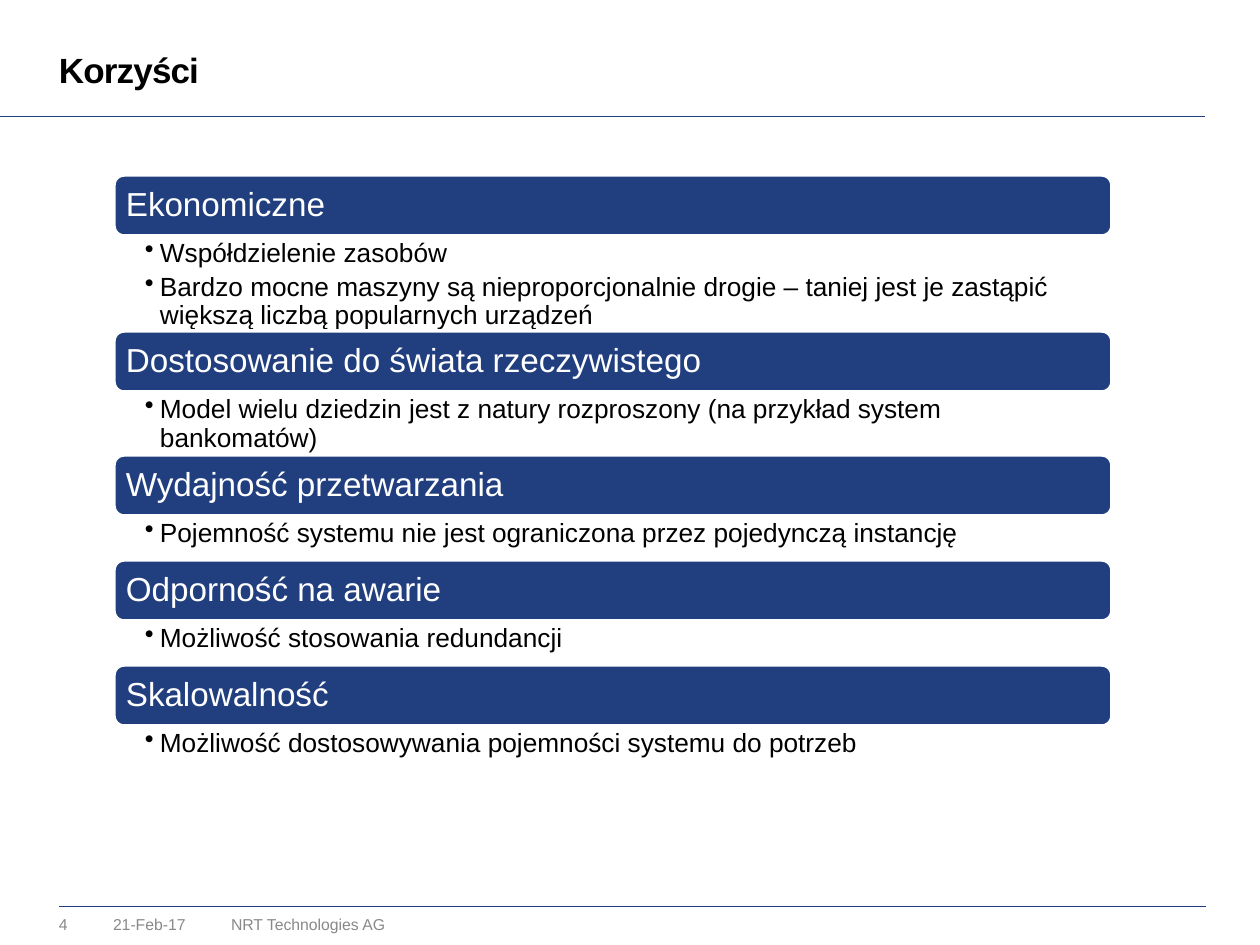
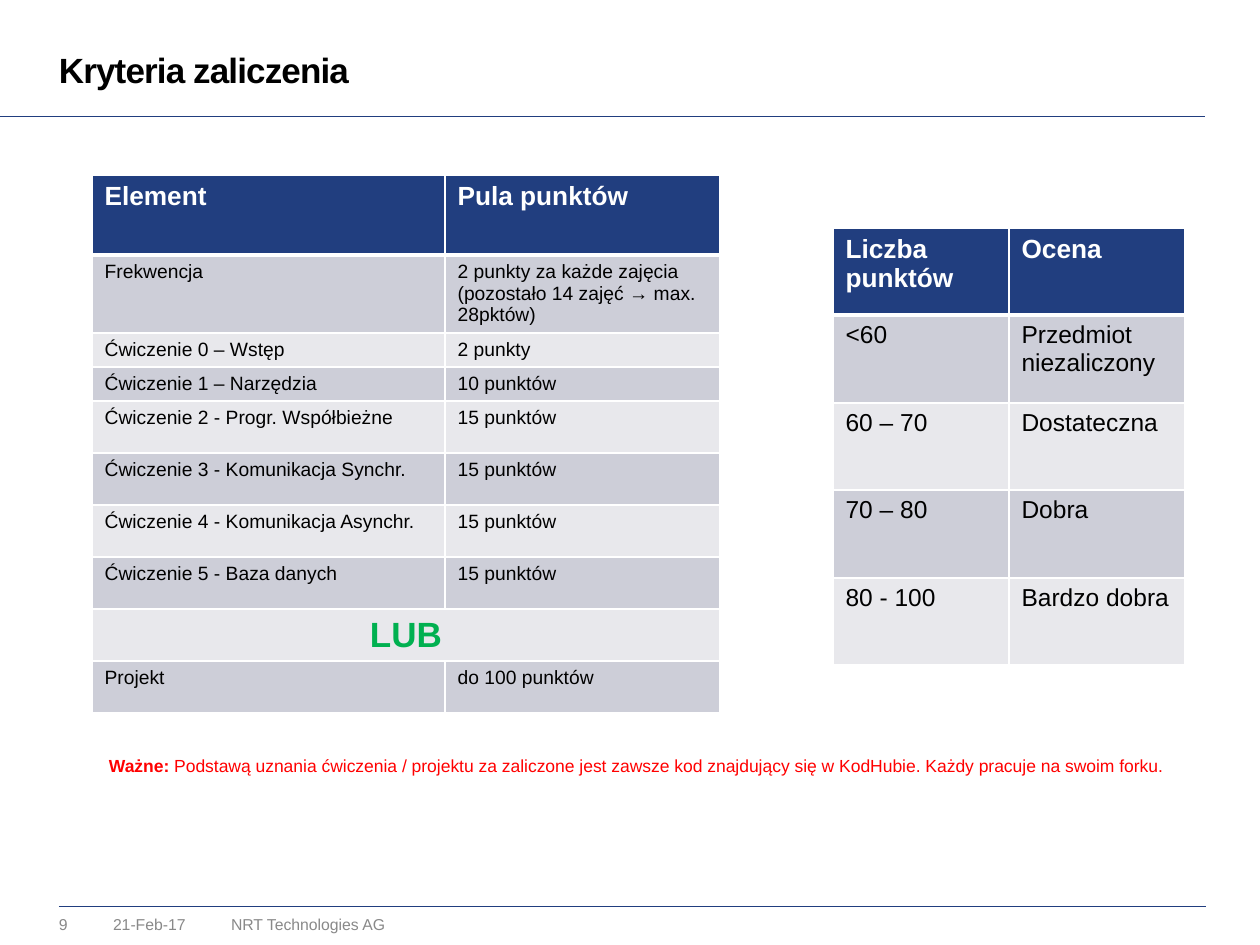
from lxml.etree import SubElement
from pptx import Presentation
from pptx.dml.color import RGBColor
from pptx.enum.shapes import MSO_CONNECTOR, MSO_SHAPE
from pptx.enum.text import MSO_ANCHOR, MSO_AUTO_SIZE, PP_ALIGN
from pptx.oxml.ns import qn
from pptx.util import Emu, Pt

STRAIGHT = MSO_CONNECTOR.STRAIGHT
ROUNDED = MSO_SHAPE.ROUNDED_RECTANGLE
TOP, MIDDLE = MSO_ANCHOR.TOP, MSO_ANCHOR.MIDDLE
LEFT, CENTER = PP_ALIGN.LEFT, PP_ALIGN.CENTER
NO_FIT = MSO_AUTO_SIZE.NONE

PX_PER_INCH = 126
FONT = "Arial"
COLORS = {
    "navy": "213E7F",
    "white": "FFFFFF",
    "black": "000000",
    "footer": "898989",
    "dark_band": "CDCED8",
    "light_band": "E8E8EC",
    "green": "00B050",
    "red": "FF0000",
}
DATE = "21-Feb-17"
COMPANY = "NRT Technologies AG"
TITLE_ONLY = 5

BENEFITS = [
    ("Ekonomiczne", 95, [
        "Współdzielenie zasobów",
        "Bardzo mocne maszyny są nieproporcjonalnie drogie – taniej jest je "
        "zastąpić większą liczbą popularnych urządzeń"]),
    ("Dostosowanie do świata rzeczywistego", 63, [
        "Model wielu dziedzin jest z natury rozproszony "
        "(na przykład system bankomatów)"]),
    ("Wydajność przetwarzania", 44, [
        "Pojemność systemu nie jest ograniczona przez pojedynczą instancję"]),
    ("Odporność na awarie", 44, ["Możliwość stosowania redundancji"]),
    ("Skalowalność", 44, [
        "Możliwość dostosowywania pojemności systemu do potrzeb"]),
]

POINTS = [
    ("Element", "Pula punktów"),
    ("Frekwencja",
     "2 punkty za każde zajęcia\n(pozostało 14 zajęć → max. 28pktów)"),
    ("Ćwiczenie 0 – Wstęp", "2 punkty"),
    ("Ćwiczenie 1 – Narzędzia", "10 punktów"),
    ("Ćwiczenie 2 - Progr. Współbieżne", "15 punktów"),
    ("Ćwiczenie 3 - Komunikacja Synchr.", "15 punktów"),
    ("Ćwiczenie 4 - Komunikacja Asynchr.", "15 punktów"),
    ("Ćwiczenie 5 - Baza danych", "15 punktów"),
    ("LUB",),
    ("Projekt", "do 100 punktów"),
]

GRADES = [
    ("Liczba punktów", "Ocena"),
    ("<60", "Przedmiot niezaliczony"),
    ("60 – 70", "Dostateczna"),
    ("70 – 80", "Dobra"),
    ("80 - 100", "Bardzo dobra"),
]


def px(length):
    return Emu(round(length * 914400 / PX_PER_INCH))


def color(name):
    return RGBColor.from_string(COLORS[name])


class Deck:
    def __init__(self):
        self.deck = Presentation()
        self.deck.slide_width = px(1260)
        self.deck.slide_height = px(945)
        self.page = None

    def new_page(self, title, number):
        layout = self.deck.slide_layouts[TITLE_ONLY]
        self.page = self.deck.slides.add_slide(layout)
        self.line(59, 1206, 906)
        self.line(-3, 1205, 116)
        self.title(title)
        for left, width, text in ((113, 108, DATE), (231, 601, COMPANY),
                                  (59, 49, str(number))):
            self.text(left, 915, width, 20, [(text, False)], 9, "footer")

    def span(self, para, text, size, shade, bold=False):
        span = para.add_run()
        span.text = text
        span.font.name = FONT
        span.font.size = Pt(size)
        span.font.bold = bold
        span.font.color.rgb = color(shade)
        return span

    def frame(self, box, insets=(0, 0, 0, 0), anchor=TOP):
        frame = box.text_frame
        frame.word_wrap = True
        frame.auto_size = NO_FIT
        frame.vertical_anchor = anchor
        (frame.margin_left, frame.margin_top,
         frame.margin_right, frame.margin_bottom) = map(px, insets)
        return frame

    def title(self, text):
        box = self.page.shapes.title
        box.left, box.top, box.width, box.height = map(px, (59, 55, 1155, 44))
        para = self.frame(box).paragraphs[0]
        para.alignment = LEFT
        para.line_spacing = Pt(20)
        span = self.span(para, text, 20, "black", True)
        span.font._element.set("spc", "-50")

    def line(self, start, end, y):
        line = self.page.shapes.add_connector(
            STRAIGHT, px(start), px(y), px(end), px(y))
        line.line.color.rgb = color("navy")
        line.line.width = Pt(0.25)
        SubElement(line._element.spPr, qn("a:effectLst"))

    def text(self, left, top, width, height, spans, size, shade):
        box = self.page.shapes.add_textbox(
            *map(px, (left, top, width, height)))
        para = self.frame(box).paragraphs[0]
        for text, bold in spans:
            self.span(para, text, size, shade, bold)

    def banner(self, left, top, width, height, text):
        box = self.page.shapes.add_shape(
            ROUNDED, *map(px, (left, top, width, height)))
        box.shadow.inherit = False
        box.fill.solid()
        box.fill.fore_color.rgb = color("navy")
        box.line.color.rgb = color("white")
        box.line.width = Pt(2)
        para = self.frame(box, (9, 9, 9, 9), MIDDLE).paragraphs[0]
        para.alignment = LEFT
        para.line_spacing = 0.9
        self.span(para, text, 19, "white")

    def bullets(self, left, top, width, height, items):
        box = self.page.shapes.add_textbox(
            *map(px, (left, top, width, height)))
        frame = self.frame(box, (31, 4, 19, 4))
        for index, item in enumerate(items):
            para = frame.add_paragraph() if index else frame.paragraphs[0]
            para.line_spacing = 0.9
            para.space_after = Pt(3)
            properties = para._p.get_or_add_pPr()
            properties.set("marL", str(px(15)))
            properties.set("indent", str(px(-15)))
            SubElement(properties, qn("a:buChar"), char="•")
            self.span(para, item, 15, "black")

    def border(self, cell, side, width):
        edge = SubElement(cell._tc.get_or_add_tcPr(), qn(f"a:ln{side}"),
                          w=str(Pt(width)))
        fill = SubElement(edge, qn("a:solidFill"))
        SubElement(fill, qn("a:srgbClr"), val=COLORS["white"])

    def cell(self, cell, row, text, size, shade, bold, align):
        for side in "LRTB":
            thick = (side, row) in (("B", 0), ("T", 1))
            self.border(cell, side, 3 if thick else 1)
        cell.fill.solid()
        band = "dark_band" if row % 2 else "light_band"
        cell.fill.fore_color.rgb = color(band if row else "navy")
        for index, words in enumerate(text.split("\n")):
            frame = cell.text_frame
            para = frame.add_paragraph() if index else frame.paragraphs[0]
            para.alignment = align
            self.span(para, words, size, shade, bold)

    def table(self, left, top, widths, heights, rows, body_size):
        table = self.page.shapes.add_table(
            len(rows), len(widths), px(left), px(top),
            px(sum(widths)), px(sum(heights))).table
        for column, width in zip(table.columns, widths):
            column.width = px(width)
        for index, (height, texts) in enumerate(zip(heights, rows)):
            table.rows[index].height = px(height)
            style = (body_size, "black", False, LEFT)
            if index == 0:
                style = (15, "white", True, LEFT)
            elif len(texts) == 1:
                style = (20, "green", True, CENTER)
                table.cell(index, 0).merge(table.cell(index, len(widths) - 1))
            for column, text in enumerate(texts):
                self.cell(table.cell(index, column), index, text, *style)

    def save(self):
        self.deck.save("out.pptx")


def benefits_page(deck):
    deck.new_page("Korzyści", 4)
    left, top, width, banner_height = 114, 175, 998, 61
    for heading, list_height, items in BENEFITS:
        deck.banner(left, top, width, banner_height, heading)
        top += banner_height
        deck.bullets(left, top, width, list_height, items)
        top += list_height


def criteria_page(deck):
    deck.new_page("Kryteria zaliczenia", 9)
    deck.table(92, 175, [353, 275], [80, 78, 34, 34] + [52] * 6, POINTS, 11)
    deck.table(833, 228, [176, 176], [87, 88, 87, 88, 87], GRADES, 14)
    deck.text(109, 755, 1065, 22, [
        ("Ważne:", True),
        (" Podstawą uznania ćwiczenia / projektu za zaliczone jest zawsze kod "
         "znajdujący się w KodHubie. Każdy pracuje na swoim forku.", False),
    ], 10, "red")


def main():
    deck = Deck()
    benefits_page(deck)
    criteria_page(deck)
    deck.save()


if __name__ == "__main__":
    main()
